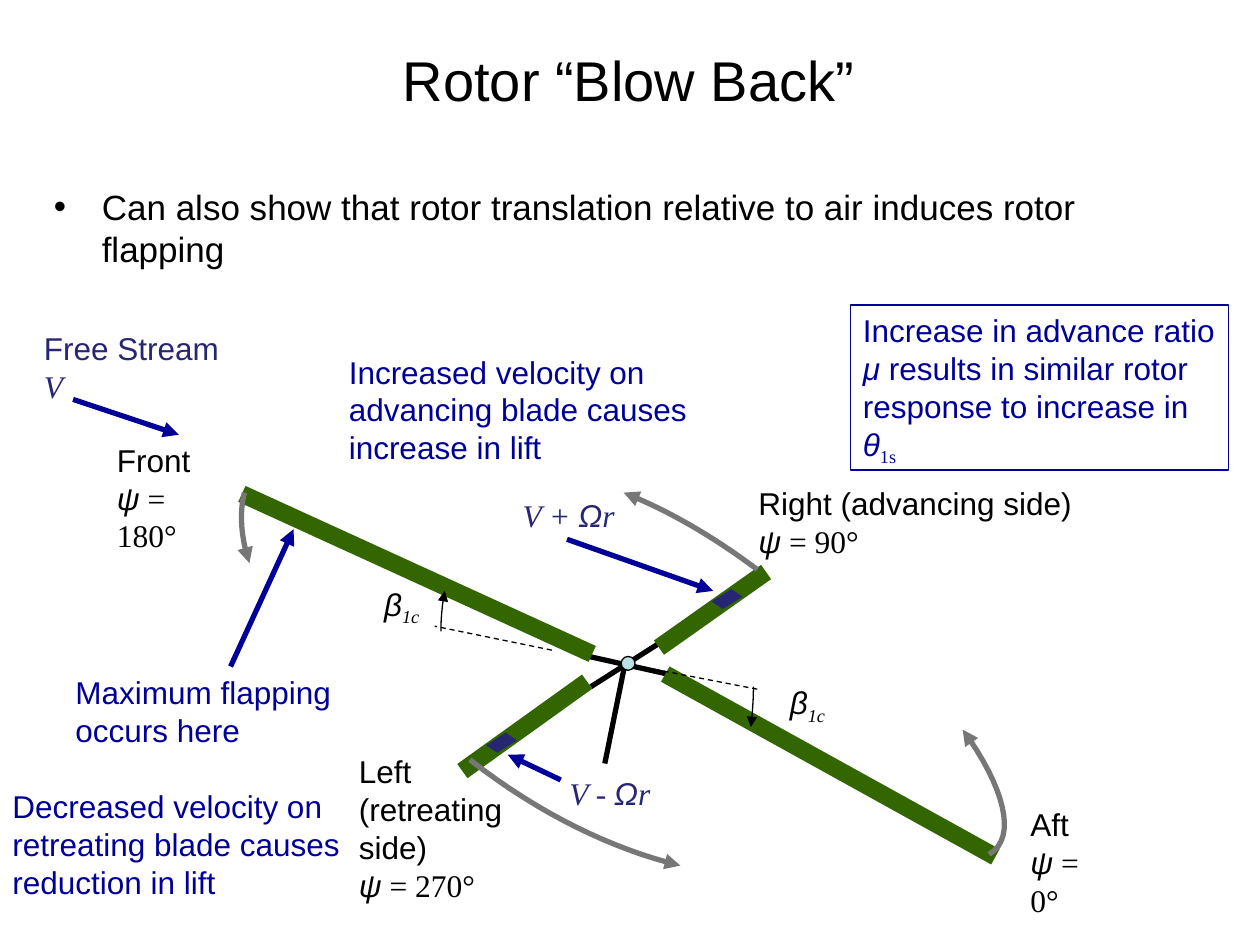
"""Build the rotor blow back slide."""
from dataclasses import dataclass

from lxml.etree import SubElement
from pptx import Presentation
from pptx.dml.color import RGBColor
from pptx.enum.dml import MSO_LINE
from pptx.enum.shapes import MSO_CONNECTOR, MSO_SHAPE
from pptx.enum.text import MSO_ANCHOR, PP_ALIGN
from pptx.oxml.ns import qn
from pptx.util import Inches, Pt


@dataclass(frozen=True)
class Theme:
    """Colours, fonts and sizes of the slide."""
    black: str = "000000"
    blue: str = "000099"
    navy: str = "262673"
    green: str = "336600"
    grey: str = "777777"
    hub: str = "BBE0E3"
    sans: str = "Arial"
    serif: str = "Times New Roman"
    title: float = 32
    body: float = 20
    label: float = 18
    thin: float = 0.75
    thick: float = 3
    blade: float = 10


class Sketch:
    """Draws styled elements on the current slide."""

    def __init__(self, slide, theme):
        self.shapes = slide.shapes
        self.theme = theme

    def stroke(self, shape, color, width, dashed=False, arrow=False):
        shape.line.color.rgb = RGBColor.from_string(color)
        shape.line.width = Pt(width)
        if dashed:
            shape.line.dash_style = MSO_LINE.DASH
        if arrow:
            outline = shape._element.spPr.find(qn("a:ln"))
            SubElement(outline, qn("a:tailEnd"), type="triangle")

    def line(self, start, end, color, width, dashed=False, arrow=False):
        points = [Inches(value) for value in (*start, *end)]
        line = self.shapes.add_connector(MSO_CONNECTOR.STRAIGHT, *points)
        self.stroke(line, color, width, dashed, arrow)
        SubElement(line._element.spPr, qn("a:effectLst"))

    def arc(self, controls, color, width, steps=16):
        points = []
        for step in range(steps + 1):
            t = step / steps
            weights = ((1 - t) ** 3, 3 * t * (1 - t) ** 2, 3 * t ** 2 * (1 - t), t ** 3)
            points.append(tuple(
                Inches(sum(weight * value for weight, value in zip(weights, axis)))
                for axis in zip(*controls)))
        builder = self.shapes.build_freeform(*points[0], scale=1.0)
        builder.add_line_segments(points[1:], close=False)
        arc = builder.convert_to_shape()
        arc.shadow.inherit = False
        arc.fill.background()
        self.stroke(arc, color, width, arrow=True)

    def shape(self, kind, area, fill, rotation=0):
        shape = self.shapes.add_shape(kind, *map(Inches, area))
        shape.shadow.inherit = False
        shape.fill.solid()
        shape.fill.fore_color.rgb = RGBColor.from_string(fill)
        shape.line.fill.background()
        shape.rotation = rotation
        return shape

    def text(self, area, paragraphs, color, size=None):
        box = self.shapes.add_textbox(*map(Inches, area))
        frame = box.text_frame
        frame.word_wrap = True
        for index, runs in enumerate(paragraphs):
            para = frame.add_paragraph() if index else frame.paragraphs[0]
            for words, style in runs:
                span = para.add_run()
                span.text = words
                span.font.name = self.theme.serif if "serif" in style else self.theme.sans
                span.font.size = Pt(size or self.theme.label)
                span.font.italic = "italic" in style
                span.font.color.rgb = RGBColor.from_string(color)
                if "sub" in style:
                    span._r.get_or_add_rPr().set("baseline", "-25000")
        return box

    def bullet(self, para, indent):
        properties = para._p.get_or_add_pPr()
        properties.set("marL", str(Inches(indent)))
        properties.set("indent", str(-Inches(indent)))
        SubElement(properties, qn("a:buFont"), typeface=self.theme.sans)
        SubElement(properties, qn("a:buChar"), char="•")


theme = Theme()
deck = Presentation()
deck.slide_width, deck.slide_height = Inches(10), Inches(7.5)
page = deck.slides.add_slide(deck.slide_layouts[6])
sketch = Sketch(page, theme)

title = sketch.text((2, 0, 5.98, 1.25), [[("Rotor “Blow Back”", "")]], theme.black, theme.title)
title.text_frame.vertical_anchor = MSO_ANCHOR.MIDDLE
title.text_frame.paragraphs[0].alignment = PP_ALIGN.CENTER
body = sketch.text(
    (0.33, 1.42, 8.5, 0.8),
    [[("Can also show that rotor translation relative to air induces rotor flapping", "")]],
    theme.black, theme.body)
sketch.bullet(body.text_frame.paragraphs[0], 0.38)

for start, end in (((4.63, 5.2), (5.3, 5.35)), ((4.96, 5.27), (4.8, 6.06)),
                   ((4.69, 5.45), (5.24, 5.1))):
    sketch.line(start, end, theme.black, theme.thick)
for start, end in (((5.28, 5.35), (7.9, 6.8)), ((5.23, 5.14), (6.08, 4.54)),
                   ((1.92, 3.92), (4.7, 5.19)), ((3.67, 6.12), (4.66, 5.41))):
    sketch.line(start, end, theme.green, theme.blade)
hub = sketch.shape(MSO_SHAPE.OVAL, (4.93, 5.21, 0.11, 0.11), theme.hub)
sketch.stroke(hub, theme.black, theme.thin)

for start, end in (((4.38, 5.16), (3.45, 4.97)), ((6.01, 5.47), (5.08, 5.29))):
    sketch.line(start, end, theme.black, theme.thin, dashed=True)
for controls in (((3.5, 5.01), (3.5, 4.9), (3.51, 4.8), (3.53, 4.69)),
                 ((5.98, 5.45), (5.98, 5.56), (5.97, 5.67), (5.96, 5.77))):
    sketch.arc(controls, theme.black, theme.thin)
for controls in (((6.01, 4.52), (5.65, 4.25), (5.3, 4.05), (4.95, 3.91)),
                 ((3.73, 6.03), (4.28, 6.46), (4.86, 6.74), (5.4, 6.87)),
                 ((7.85, 6.78), (8.08, 6.65), (7.97, 6.24), (7.64, 5.79)),
                 ((1.94, 3.91), (1.9, 4.07), (1.91, 4.26), (1.98, 4.47))):
    sketch.arc(controls, theme.grey, theme.thick)

for area in ((2.95, 4.59, 0.67, 0.4), (6.17, 5.37, 1.18, 0.4)):
    sketch.text(area, [[("β", "italic"), ("1c", "serif italic sub")]], theme.black)
for area, name, angle in (((5.92, 3.79, 2.71, 0.71), "Right (advancing side)", 90),
                          ((0.83, 3.45, 1.11, 1), "Front", 180),
                          ((2.75, 5.92, 1.74, 1.31), "Left (retreating side)", 270),
                          ((8.08, 6.34, 0.86, 1), "Aft", 0)):
    sketch.text(area, [[(name, "")], [("ψ", "italic"), (f" = {angle}°", "serif")]], theme.black)
for area, note in (
        ((2.67, 2.75, 3.5, 1), "Increased velocity on advancing blade causes increase in lift"),
        ((0.5, 5.29, 2.58, 0.7), "Maximum flapping occurs here"),
        ((0, 6.2, 3.5, 1), "Decreased velocity on retreating blade causes reduction in lift")):
    sketch.text(area, [[(note, "")]], theme.blue)
for area, sign in (((4.05, 3.89, 0.98, 0.4), "+"), ((4.42, 6.09, 0.9, 0.4), "-")):
    sketch.text(area, [[(f"V {sign} ", "serif italic"), ("Ω", "italic"),
                        ("r", "serif italic")]], theme.navy)
sketch.text((0.25, 2.56, 1.65, 0.71), [[("Free Stream", "")], [("V", "serif italic")]], theme.navy)
advance_ratio = sketch.text(
    (6.75, 2.42, 3, 1.31),
    [[("Increase in advance ratio ", ""), ("μ", "italic"),
      (" results in similar rotor response to increase in ", ""),
      ("θ", "italic"), ("1s", "serif sub")]], theme.blue)
sketch.stroke(advance_ratio, theme.blue, theme.thin)

for start, end in (((4.5, 4.28), (5.66, 4.69)), ((1.83, 5.29), (2.33, 4.2)),
                   ((4.45, 6.19), (4.03, 5.99)), ((0.58, 3.17), (1.42, 3.45))):
    sketch.line(start, end, theme.blue, theme.thick, arrow=True)
for left, top in ((5.68, 4.67), (3.89, 5.81)):
    element = sketch.shape(MSO_SHAPE.PARALLELOGRAM, (left, top, 0.18, 0.17), theme.navy, 34.5)
    element.adjustments[0] = 0.43

deck.save("out.pptx")
